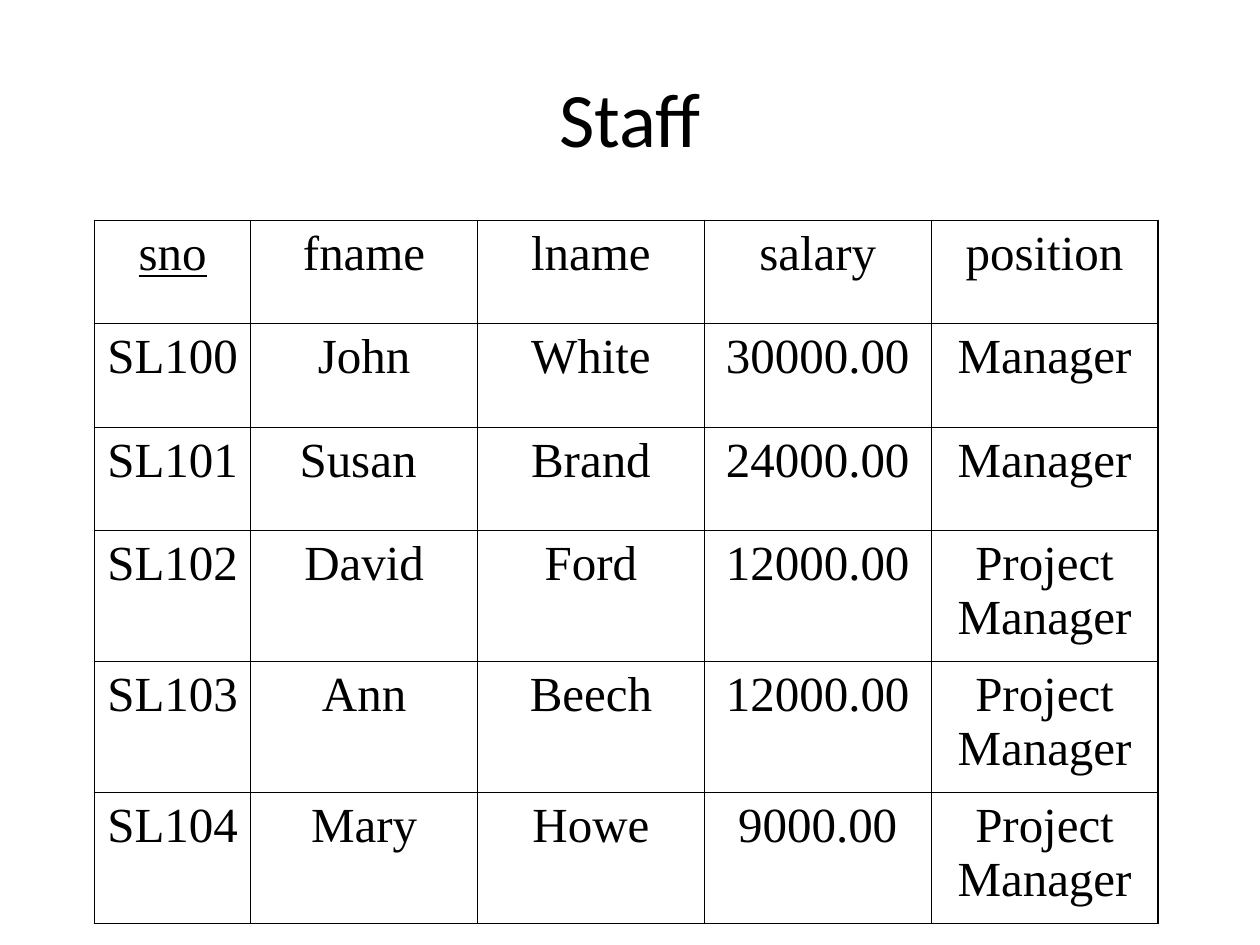
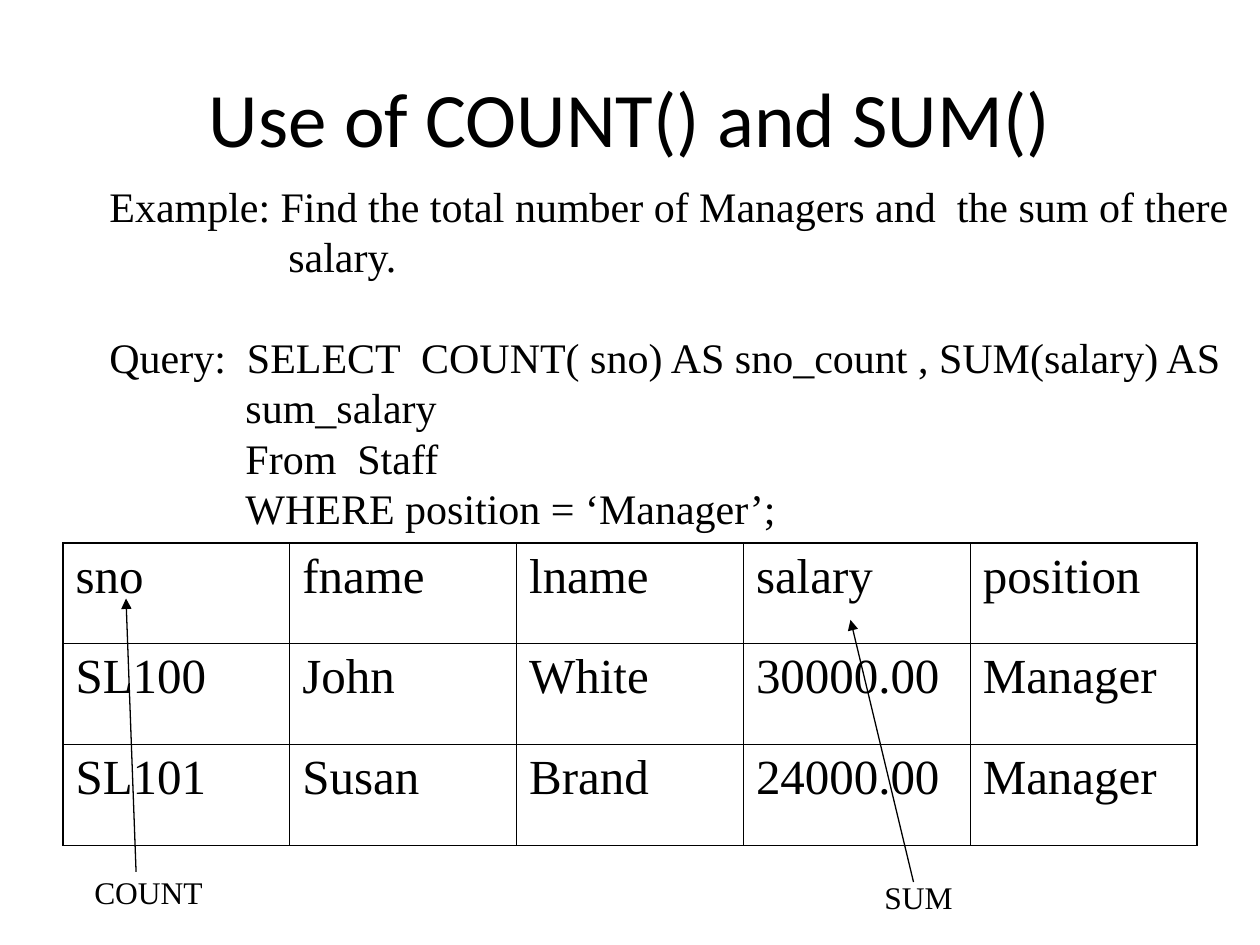
from lxml.etree import SubElement as Sub
from pptx import Presentation
from pptx.dml.color import RGBColor
from pptx.enum.shapes import MSO_CONNECTOR as Conn
from pptx.enum.text import MSO_ANCHOR as Anchor, PP_ALIGN as Align
from pptx.oxml.ns import qn
from pptx.util import Inches, Pt

BLACK = RGBColor(0x00, 0x00, 0x00)
HEAD, BODY = "Calibri", "Times New Roman"
THIN, THICK = Pt(0.45), Pt(1.08)


def write(frame, text, size=24, font=BODY, align=Align.LEFT, line=False,
          before=0, indent=0, under=False):
    """Add one paragraph, filling the empty first one if there is one."""
    frame.word_wrap = True
    para = frame.paragraphs[0] if not frame.text else frame.add_paragraph()
    para.alignment = align
    para.space_before = Pt(before)
    if line:
        para.line_spacing = Pt(1.2 * size)
    if indent:
        para._p.get_or_add_pPr().set("marL", str(Inches(indent)))
    run = para.add_run()
    run.text = text
    run.font.name, run.font.size = font, Pt(size)
    run.font.color.rgb = BLACK
    if under:
        run.font.underline = True


def grid(slide, rows, left, top, wides, highs, align, key=None):
    """Draw a table with thin inner lines and a thicker frame."""
    last, end = len(rows) - 1, len(wides) - 1
    table = slide.shapes.add_table(
        len(rows), len(wides), Inches(left), Inches(top),
        Inches(sum(wides)), Inches(sum(highs))).table
    table.first_row = table.horz_banding = False
    for col, wide in zip(table.columns, wides):
        col.width = Inches(wide)
    for r, row in enumerate(rows):
        table.rows[r].height = Inches(highs[r])
        for c, text in enumerate(row):
            cell = table.cell(r, c)
            write(cell.text_frame, text, size=28, align=align, before=7,
                  under=text == key)
            props = cell._tc.get_or_add_tcPr()
            edges = {"L": c == 0, "R": c == end, "T": r == 0, "B": r == last}
            for side, outer in edges.items():
                line = Sub(props, qn("a:ln" + side),
                           w=str(THICK if outer else THIN))
                fill = Sub(line, qn("a:solidFill"))
                Sub(fill, qn("a:srgbClr"), val=str(BLACK))
            cell.fill.background()


deck = Presentation()
deck.slide_width, deck.slide_height = Inches(10), Inches(7.5)

# Slides with their titles
slides = []
for title in ("Staff", "Use of COUNT() and SUM()"):
    slide = deck.slides.add_slide(deck.slide_layouts[6])
    box = slide.shapes.add_textbox(Inches(0.5), Inches(0.3),
                                   Inches(9), Inches(1.25))
    box.text_frame.vertical_anchor = Anchor.MIDDLE
    write(box.text_frame, title, size=44, font=HEAD, align=Align.CENTER)
    slides.append(slide)
staff, query = slides

# Staff table
names = ["sno", "fname", "lname", "salary", "position"]
people = [
    ["SL100", "John", "White", "30000.00", "Manager"],
    ["SL101", "Susan ", "Brand", "24000.00", "Manager"],
    ["SL102", "David", "Ford", "12000.00", "Project Manager"],
    ["SL103", "Ann", "Beech", "12000.00", "Project Manager"],
    ["SL104", "Mary", "Howe", "9000.00", "Project Manager"],
]
grid(staff, [names] + people, 0.75, 1.75, [1.24] + [1.8] * 4,
     [0.82] * 3 + [1.04] * 3, Align.CENTER, key="sno")

# Managers found by the query
found = [[text.strip() for text in row] for row in people
         if row[-1] == "Manager"]
grid(query, [names] + found, 0.5, 4.31, [1.8] * 5, [0.8] * 3, Align.LEFT)

# Example and query text: wording, indent, space before
lines = [
    ("Example: Find the total number of Managers and  the sum of there", 0, 0),
    ("salary.", 1.42, 0),
    ("Query:  SELECT  COUNT( sno) AS sno_count , SUM(salary) AS", 0, 28.8),
    ("sum_salary", 1.08, 0),
    ("From  Staff", 1.08, 0),
    ("WHERE position = ‘Manager’;", 1.08, 0),
]
box = query.shapes.add_textbox(Inches(0.77), Inches(1.38),
                               Inches(9.17), Inches(2.9))
for text, indent, before in lines:
    write(box.text_frame, text, indent=indent, before=before, line=True)

# Function labels, each with an arrow to its column
labels = [
    ("SUM", (6.92, 6.92, 0.9, 0.4), (7.25, 7, 6.75, 4.92)),
    ("COUNT", (0.65, 6.88, 1.2, 0.4), (1.08, 6.92, 1, 4.75)),
]
for text, place, ends in labels:
    box = query.shapes.add_textbox(*map(Inches, place))
    write(box.text_frame, text, size=18, line=True)
    arrow = query.shapes.add_connector(Conn.STRAIGHT, *map(Inches, ends))
    arrow.line.color.rgb = BLACK
    arrow.line.width = Pt(0.75)
    Sub(arrow.line._get_or_add_ln(), qn("a:tailEnd"), type="triangle")
    Sub(arrow._element.spPr, qn("a:effectLst"))

deck.save("out.pptx")
